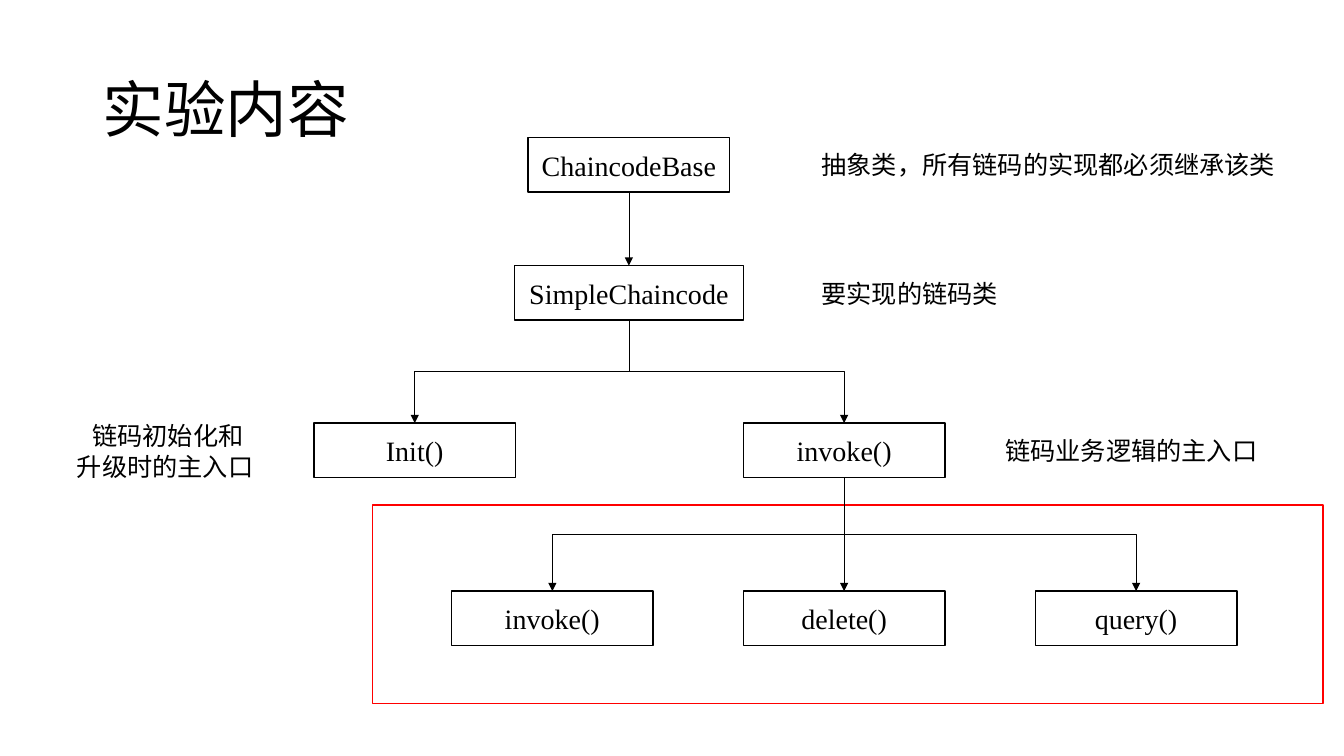
from lxml import etree
from pptx import Presentation
from pptx.dml.color import RGBColor
from pptx.enum.shapes import MSO_CONNECTOR as CXN, MSO_SHAPE
from pptx.enum.text import MSO_ANCHOR, MSO_AUTO_SIZE, PP_ALIGN
from pptx.oxml.ns import qn
from pptx.util import Pt

PX = 9525
BLACK = RGBColor(0, 0, 0)
WHITE = RGBColor(255, 255, 255)
RED = RGBColor(255, 0, 0)
CJK = "Noto Sans CJK SC"
SERIF = "Times New Roman"
BOX_W, BOX_H = 192, 52
BOTTOM, TOP = 2, 0  # connection sites of a rectangle


def px(*lengths):
    return [round(n * PX) for n in lengths]


def style_text(tf, size, font, align):
    for p in tf.paragraphs:
        p.alignment = align
        for r in p.runs:
            r.font.size, r.font.name = Pt(size), font
            r.font.color.rgb = BLACK
            ea = etree.SubElement(r.font._element, qn("a:ea"))
            ea.set("typeface", CJK)


def add_title(s, text, x, y, w, h):
    title = s.shapes.title
    title.left, title.top, title.width, title.height = px(x, y, w, h)
    tf = title.text_frame
    tf.text = text
    tf.vertical_anchor = MSO_ANCHOR.MIDDLE
    tf.paragraphs[0].line_spacing = 0.9
    style_text(tf, 44, CJK, PP_ALIGN.LEFT)


def add_rect(s, x, y, w, h, color):
    sp = s.shapes.add_shape(MSO_SHAPE.RECTANGLE, *px(x, y, w, h))
    sp.shadow.inherit = False
    sp.fill.background()
    sp.line.color.rgb = color
    sp.line.width = Pt(1)
    return sp


def add_node(s, text, center, y, w=BOX_W):
    sp = add_rect(s, center - w // 2, y, w, BOX_H, BLACK)
    sp.fill.solid()
    sp.fill.fore_color.rgb = WHITE
    sp.text_frame.text = text
    style_text(sp.text_frame, 20, SERIF, PP_ALIGN.CENTER)
    return sp


def add_row(s, names, center, gap, y):
    """Place nodes at equal distances, symmetric about center."""
    first = center - gap * (len(names) - 1) // 2
    return [add_node(s, name, first + i * gap, y) for i, name in enumerate(names)]


def turn_elbow(cxn, x1, y1, x2, y2):
    """Rotate an elbow so that it leaves and arrives vertically."""
    w, h = y2 - y1, abs(x2 - x1)
    cxn.left, cxn.top = (x1 + x2 - w) // 2, (y1 + y2 - h) // 2
    cxn.width, cxn.height = w, h
    xfrm = cxn._element.spPr.find(qn("a:xfrm"))
    for flip in ("flipH", "flipV"):
        xfrm.attrib.pop(flip, None)
    xfrm.set("rot", "5400000" if x2 < x1 else "16200000")
    if x2 > x1:
        xfrm.set("flipH", "1")


def add_arrow(s, parent, child):
    x1, y1 = parent.left + parent.width // 2, parent.top + parent.height
    x2, y2 = child.left + child.width // 2, child.top
    straight = x1 == x2
    cxn = s.shapes.add_connector(CXN.STRAIGHT if straight else CXN.ELBOW, x1, y1, x2, y2)
    cxn.begin_connect(parent, BOTTOM)
    cxn.end_connect(child, TOP)
    if not straight:
        turn_elbow(cxn, x1, y1, x2, y2)
    cxn.line.color.rgb = BLACK
    cxn.line.width = Pt(0.5)
    etree.SubElement(cxn.line._get_or_add_ln(), qn("a:tailEnd")).set("type", "triangle")
    etree.SubElement(cxn._element.spPr, qn("a:effectLst"))


def add_tree(s, center, y):
    base = add_node(s, "ChaincodeBase", center, y)
    simple = add_node(s, "SimpleChaincode", center, y + 122, 218)
    entries = add_row(s, ["Init()", "invoke()"], center, 409, y + 272)
    invoke_center = center + 205
    actions = add_row(s, ["invoke()", "delete()", "query()"], invoke_center, 278, y + 432)
    add_arrow(s, base, simple)
    for entry in entries:
        add_arrow(s, simple, entry)
    for action in actions:
        add_arrow(s, entries[-1], action)


def add_note(s, text, x, y, w, h, font=CJK, align=PP_ALIGN.LEFT):
    tf = s.shapes.add_textbox(*px(x, y, w, h)).text_frame
    tf.word_wrap = False
    tf.auto_size = MSO_AUTO_SIZE.SHAPE_TO_FIT_TEXT
    tf.text = text
    style_text(tf, 18, font, align)


def main():
    prs = Presentation()
    prs.slide_width, prs.slide_height = px(1280, 720)
    s = prs.slides.add_slide(prs.slide_layouts[5])
    add_rect(s, 355, 481, 905, 189, RED)
    add_title(s, "实验内容", 88, 38, 1104, 139)
    add_tree(s, 599, 131)
    add_note(s, "抽象类，所有链码的实现都必须继承该类", 773, 137, 468, 38)
    add_note(s, "要实现的链码类", 773, 260, 189, 38)
    add_note(s, "链码业务逻辑的主入口", 948, 410, 268, 38, SERIF)
    add_note(s, "链码初始化和\n升级时的主入口 ", 62, 396, 196, 68, SERIF, PP_ALIGN.CENTER)
    prs.save("out.pptx")


if __name__ == "__main__":
    main()
